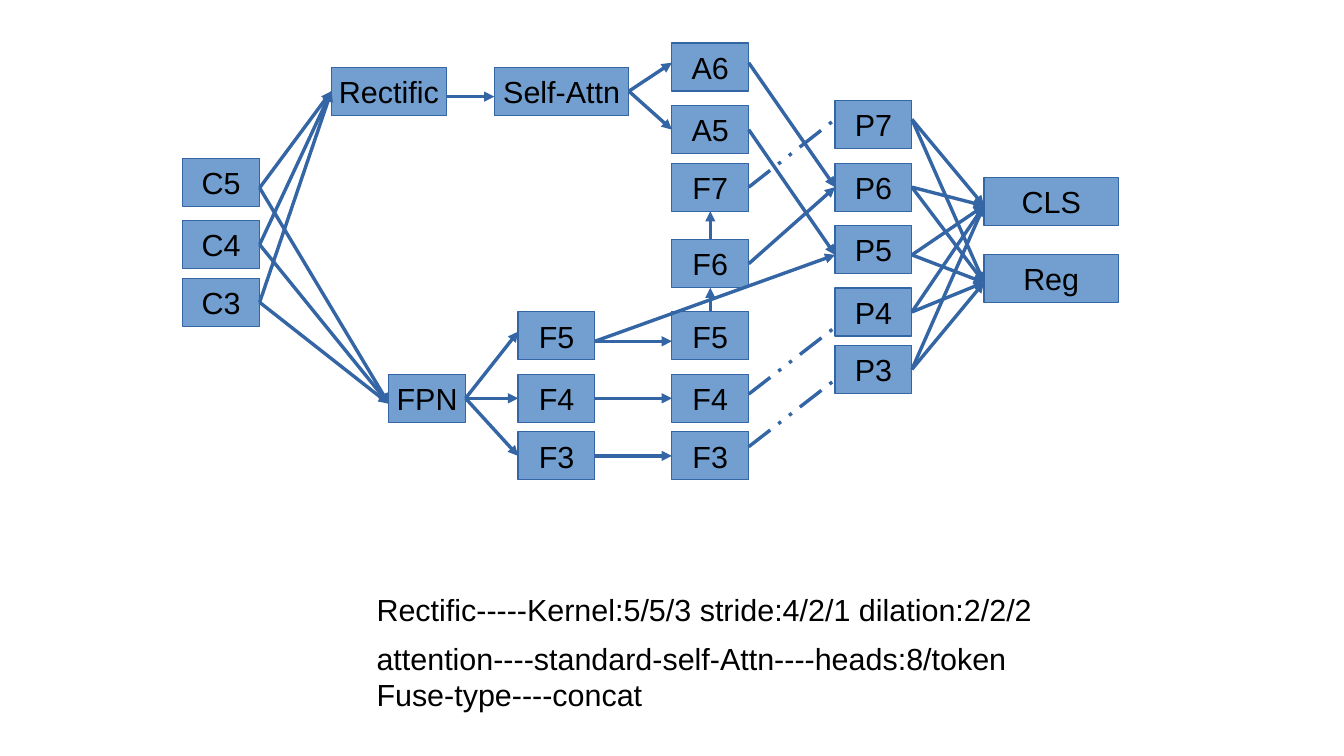
"""Build the detection-network diagram slide."""
from dataclasses import dataclass
from itertools import product

from lxml.etree import SubElement
from pptx import Presentation
from pptx.dml.color import RGBColor as RGB
from pptx.enum.dml import MSO_LINE
from pptx.enum.shapes import MSO_CONNECTOR as CONN, MSO_SHAPE as SHAPE
from pptx.enum.text import MSO_ANCHOR as ANCHOR, MSO_AUTO_SIZE as AUTO, PP_ALIGN as ALIGN
from pptx.oxml.ns import qn
from pptx.util import Pt

TOP, LEFT, BOTTOM, RIGHT = range(4)


@dataclass(frozen=True)
class Theme:
    fill: RGB = RGB(0x72, 0x9F, 0xCF)
    line: RGB = RGB(0x34, 0x65, 0xA4)
    text: RGB = RGB(0, 0, 0)
    font: str = "Arial"
    size: float = 18
    line_width: float = 0


@dataclass(frozen=True)
class Node:
    key: str
    label: str
    x: float
    y: float
    w: float = 45.35
    in_shift: float = 0
    out_shift: float = 0
    h: float = 28.35

    def port(self, side: int) -> tuple[float, float, float]:
        if side in (TOP, BOTTOM):
            return self.x + self.w / 2, self.y + (self.h if side == BOTTOM else 0), 0
        shift = self.out_shift if side == RIGHT else self.in_shift
        x = self.x + (self.w if side == RIGHT else 0)
        return x, self.y + self.h / 2 + shift, shift


@dataclass(frozen=True)
class Link:
    start: str
    end: str
    sides: tuple[int, int] = (RIGHT, LEFT)
    dashed: bool = False


@dataclass(frozen=True)
class Note:
    x: float
    y: float
    w: float
    h: float
    text: str


THEME = Theme()
FPN_X, REFINED_X, FUSED_X, HEAD_X = 306, 396.8, 493.2, 581.1
NODES = [
    Node("C5", "C5", 108, 93.6, out_shift=3.2),
    Node("C4", "C4", 108, 130.3),
    Node("C3", "C3", 108, 164.4),
    Node("FPN", "FPN", 229.6, 221.1, in_shift=3.2),
    Node("Rectific", "Rectific", 195.7, 39.7, 68, out_shift=3.2),
    Node("Self-Attn", "Self-Attn", 292, 39.7, 79.4, in_shift=3.2),
    Node("A6", "A6", REFINED_X, 25.4, in_shift=-2.5, out_shift=-2.5),
    Node("A5", "A5", REFINED_X, 62.4),
    Node("F7", "F7", REFINED_X, 96.4),
    Node("F6", "F6", REFINED_X, 141.6),
    Node("F5 refined", "F5", REFINED_X, 184.2, in_shift=3.2),
    Node("F4 refined", "F4", REFINED_X, 221.1, out_shift=-2.5),
    Node("F3 refined", "F3", REFINED_X, 255.1, out_shift=-5.4),
    Node("F5", "F5", FPN_X, 184.2, in_shift=-2.5, out_shift=3.2),
    Node("F4", "F4", FPN_X, 221.1),
    Node("F3", "F3", FPN_X, 255.1),
    Node("P7", "P7", FUSED_X, 59.5, in_shift=-3.2, out_shift=-3.2),
    Node("P6", "P6", FUSED_X, 96.4),
    Node("P5", "P5", FUSED_X, 133.2, in_shift=3.2, out_shift=3.2),
    Node("P4", "P4", FUSED_X, 170.1, in_shift=9),
    Node("P3", "P3", FUSED_X, 204, in_shift=6.1),
    Node("CLS", "CLS", HEAD_X, 104.9, 79.4, in_shift=2.5),
    Node("Reg", "Reg", HEAD_X, 150.2, 79.4, in_shift=2.5),
]
LINKS = [
    *(Link(a, b) for a, b in product(("C5", "C4", "C3"), ("FPN", "Rectific"))),
    Link("Rectific", "Self-Attn"),
    *(Link("Self-Attn", key) for key in ("A6", "A5")),
    *(Link("FPN", key) for key in ("F5", "F4", "F3")),
    *(Link(key, f"{key} refined") for key in ("F5", "F4", "F3")),
    Link("F5 refined", "F6", (TOP, BOTTOM)),
    Link("F6", "F7", (TOP, BOTTOM)),
    Link("A6", "P6"),
    Link("F6", "P6"),
    Link("A5", "P5"),
    Link("F5", "P5"),
    Link("F7", "P7", dashed=True),
    Link("F4 refined", "P4", dashed=True),
    Link("F3 refined", "P3", dashed=True),
    *(Link(a, b) for a, b in product(("P7", "P6", "P5", "P4", "P3"), ("CLS", "Reg"))),
]
NOTES = [
    Note(215.3, 345.6, 401.8, 27.4, "Rectific-----Kernel:5/5/3 stride:4/2/1 dilation:2/2/2"),
    Note(215.3, 374.4, 386.6, 47.5,
         "attention----standard-self-Attn----heads:8/token\nFuse-type----concat"),
]


def set_text(sp, text: str, align: ALIGN, anchor: ANCHOR) -> None:
    tf = sp.text_frame
    tf.text = text
    tf.word_wrap = False
    tf.vertical_anchor = anchor
    for p in tf.paragraphs:
        p.alignment = align
        for r in p.runs:
            r.font.name = THEME.font
            r.font.size = Pt(THEME.size)
            r.font.color.rgb = THEME.text


def set_line(line) -> None:
    line.color.rgb = THEME.line
    line.width = Pt(THEME.line_width)


def draw_node(slide, node: Node):
    sp = slide.shapes.add_shape(
        SHAPE.RECTANGLE, Pt(node.x), Pt(node.y), Pt(node.w), Pt(node.h))
    sp.shadow.inherit = False
    sp.fill.solid()
    sp.fill.fore_color.rgb = THEME.fill
    set_line(sp.line)
    set_text(sp, node.label, ALIGN.CENTER, ANCHOR.MIDDLE)
    return sp


def draw_link(slide, link: Link, nodes: dict, shapes: dict) -> None:
    start_side, end_side = link.sides
    x1, y1, start_shift = nodes[link.start].port(start_side)
    x2, y2, end_shift = nodes[link.end].port(end_side)
    cx = slide.shapes.add_connector(CONN.STRAIGHT, Pt(x1), Pt(y1), Pt(x2), Pt(y2))
    if not start_shift:
        cx.begin_connect(shapes[link.start], start_side)
    if not end_shift:
        cx.end_connect(shapes[link.end], end_side)
    set_line(cx.line)
    if link.dashed:
        cx.line.dash_style = MSO_LINE.DASH_DOT_DOT
    else:
        SubElement(cx.line._get_or_add_ln(), qn("a:tailEnd"), type="triangle")
    SubElement(cx._element.spPr, qn("a:effectLst"))


def draw_note(slide, note: Note) -> None:
    sp = slide.shapes.add_textbox(Pt(note.x), Pt(note.y), Pt(note.w), Pt(note.h))
    set_text(sp, note.text, ALIGN.LEFT, ANCHOR.TOP)
    sp.text_frame.auto_size = AUTO.SHAPE_TO_FIT_TEXT


def main() -> None:
    prs = Presentation()
    prs.slide_width, prs.slide_height = Pt(793.7), Pt(446.5)
    slide = prs.slides.add_slide(prs.slide_layouts[6])
    nodes = {node.key: node for node in NODES}
    shapes = {key: draw_node(slide, node) for key, node in nodes.items()}
    for link in LINKS:
        draw_link(slide, link, nodes, shapes)
    for note in NOTES:
        draw_note(slide, note)
    prs.save("out.pptx")


if __name__ == "__main__":
    main()
